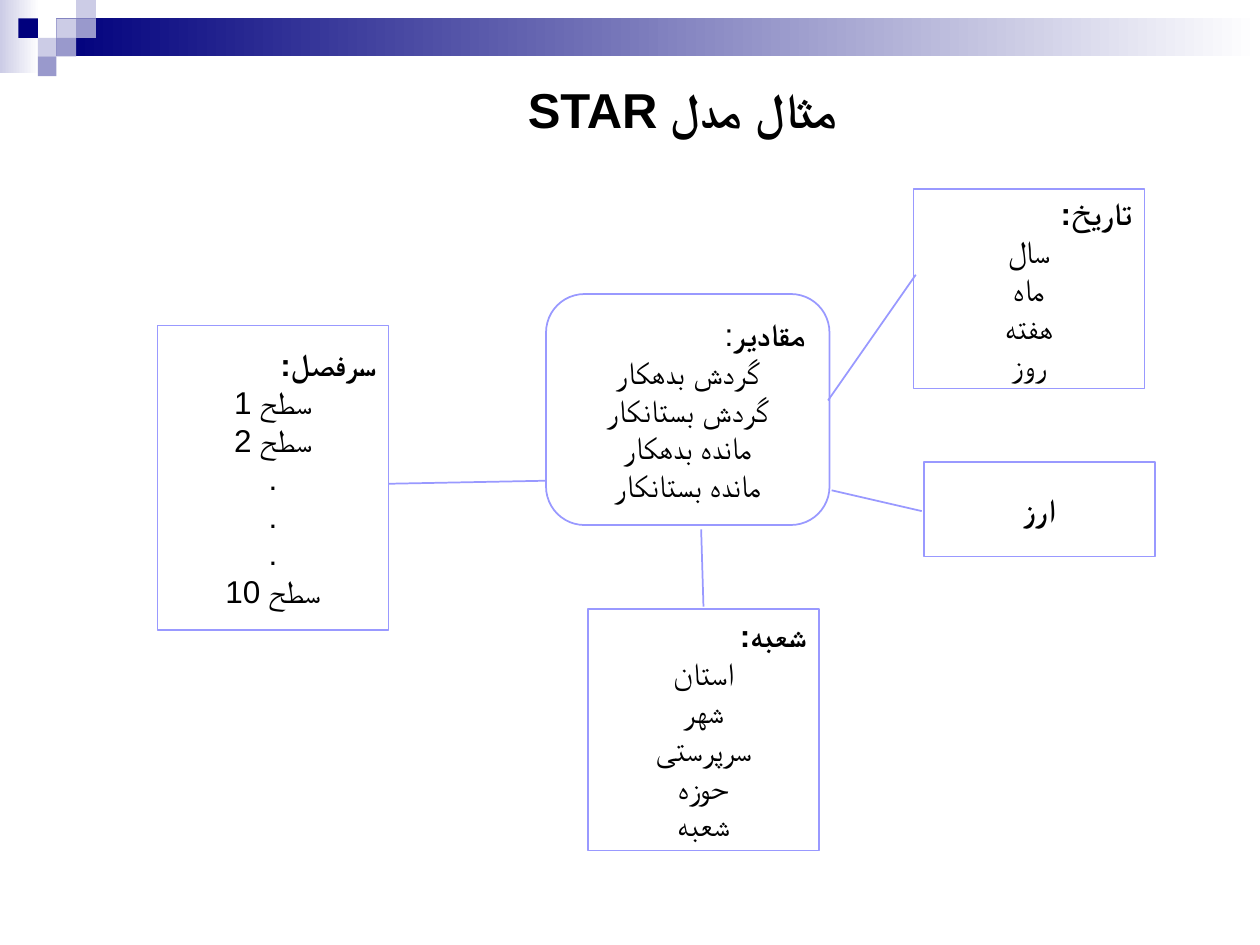
"""Build the slide that shows a star model with its four dimensions."""
from lxml.etree import SubElement
from pptx import Presentation
from pptx.dml.color import RGBColor
from pptx.enum.shapes import MSO_SHAPE
from pptx.enum.text import MSO_ANCHOR, PP_ALIGN
from pptx.oxml.ns import qn
from pptx.util import Pt

PX = 9525
FONT = {"name": "Arial", "size": Pt(18), "bold": False}
EDGES = [0, 14, 29, 43, 58, 72]
NAVY, PALE, MID, WHITE, EDGE = "00007D", "CCCCE6", "9999CC", "FFFFFF", "9999FF"


def color(code):
    return RGBColor.from_string(code)


def write(para, words, align, rtl=True, **extra):
    para.alignment = align
    if rtl:
        para._p.get_or_add_pPr().set("rtl", "1")
    for text, bold in words:
        run = para.add_run()
        run.text = text
        for key, value in {**FONT, "bold": bold, **extra}.items():
            setattr(run.font, key, value)
        run.font.color.rgb = color("000000")
        SubElement(run._r.rPr, qn("a:cs"), typeface=FONT["name"])


deck = Presentation()
deck.slide_width, deck.slide_height = 960 * PX, 720 * PX
slide = deck.slides.add_slide(deck.slide_layouts[6])
shapes = slide.shapes

bars = [((0, 0, 30, 56), PALE), ((43, 14, 917, 29), NAVY)]
for place, tint in bars:
    bar = shapes.add_shape(MSO_SHAPE.RECTANGLE, *[n * PX for n in place])
    bar.shadow.inherit = False
    bar.line.fill.background()
    bar.fill.gradient()
    bar.fill.gradient_angle = 0
    for stop, code, spot in zip(bar.fill.gradient_stops, (tint, WHITE), (0, 1)):
        stop.color.rgb = color(code)
        stop.position = spot

tiles = [(3, 1, PALE), (4, 0, PALE), (4, 1, MID), (2, 2, PALE),
         (1, 1, NAVY), (3, 2, MID), (2, 3, MID)]
for col, row, tint in tiles:
    left, top = EDGES[col], EDGES[row]
    if col == 4:
        wide = 15
    else:
        wide = EDGES[col + 1] - left
    high = EDGES[row + 1] - top
    tile = shapes.add_shape(
        MSO_SHAPE.RECTANGLE, left * PX, top * PX, wide * PX, high * PX)
    tile.shadow.inherit = False
    tile.line.fill.background()
    tile.fill.solid()
    tile.fill.fore_color.rgb = color(tint)

title = shapes.add_textbox(*[n * PX for n in (112, 56, 816, 64)])
title.text_frame.word_wrap = True
write(title.text_frame.paragraphs[0], [("مثال مدل STAR", True)],
      PP_ALIGN.CENTER, size=Pt(28))

ROUND, CALL = MSO_SHAPE.ROUNDED_RECTANGLE, MSO_SHAPE.LINE_CALLOUT_1
boxes = [
    (ROUND, (416, 224, 216, 176), [], [("مقادیر", True), (":", False)],
     ["گردش بدهکار", "گردش بستانکار", "مانده بدهکار", "مانده بستانکار"]),
    (CALL, (696, 144, 176, 152), [0.43, 0.01, 1.06, -0.37],
     [("تاریخ:", True)], ["سال", "ماه", "هفته", "روز"]),
    (CALL, (704, 352, 176, 72), [0.52, -0.01, 0.3, -0.4],
     [("ارز", True)], []),
    (CALL, (448, 464, 176, 184), [-0.01, 0.5, -0.33, 0.49],
     [("شعبه:", True)], ["استان", "شهر", "سرپرستی", "حوزه", "شعبه"]),
    (CALL, (120, 248, 176, 232), [0.52, 1, 0.51, 1.68],
     [("سرفصل:", True)], ["سطح 1", "سطح 2", ".", ".", ".", "سطح 10"]),
]
for kind, place, bends, head, items in boxes:
    box = shapes.add_shape(kind, *[n * PX for n in place])
    box.shadow.inherit = False
    for i, bend in enumerate(bends):
        box.adjustments[i] = bend
    box.fill.solid()
    box.fill.fore_color.rgb = color(WHITE)
    box.line.color.rgb = color(EDGE)
    box.line.width = Pt(1)
    frame = box.text_frame
    for key, value in {"word_wrap": True,
                       "vertical_anchor": MSO_ANCHOR.MIDDLE}.items():
        setattr(frame, key, value)
    side = PP_ALIGN.RIGHT if items else PP_ALIGN.CENTER
    write(frame.paragraphs[0], head, side, rtl=bool(items))
    for item in items:
        write(frame.add_paragraph(), [(item, False)], PP_ALIGN.CENTER)

deck.save("out.pptx")
